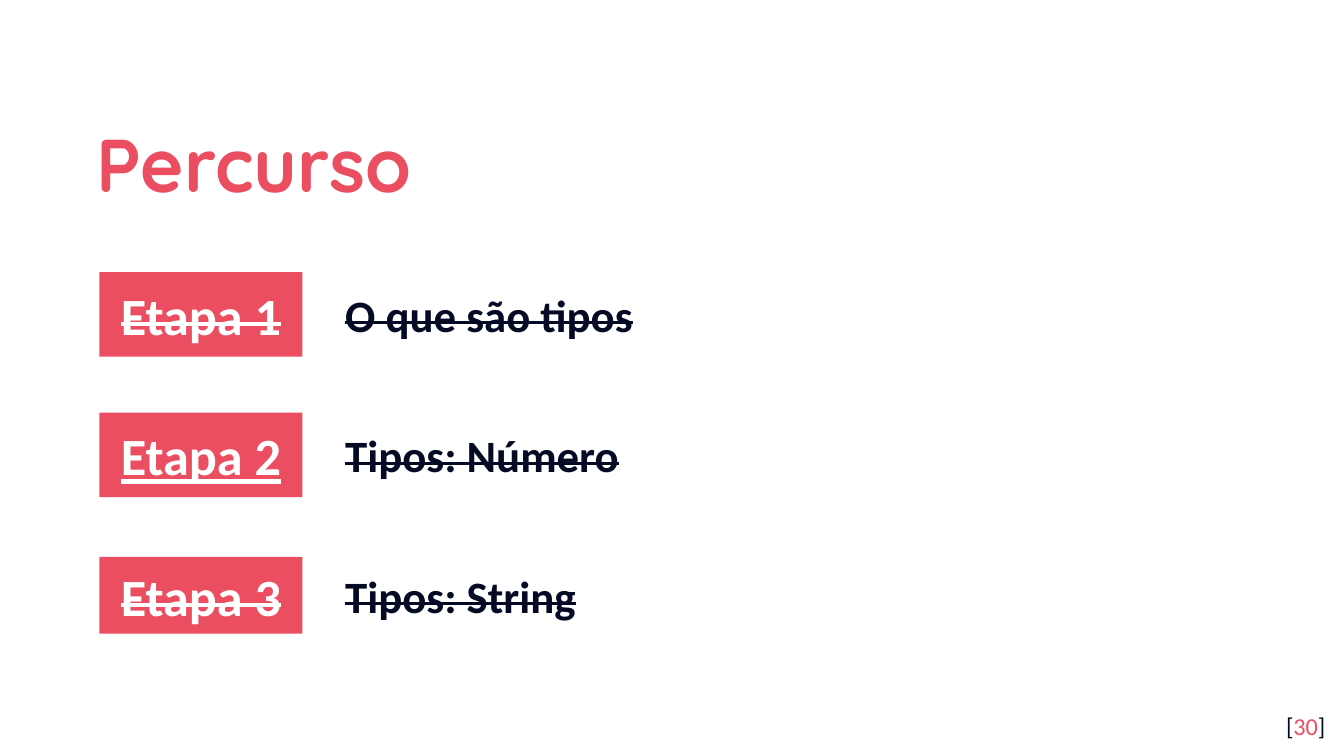
from pptx import Presentation
from pptx.dml.color import RGBColor
from pptx.enum.shapes import MSO_SHAPE
from pptx.enum.text import MSO_ANCHOR, MSO_AUTO_SIZE, PP_ALIGN
from pptx.util import Inches, Pt

CORAL = RGBColor(0xEA, 0x4E, 0x60)
NAVY = RGBColor(0x04, 0x0A, 0x24)
WHITE = RGBColor(0xFF, 0xFF, 0xFF)

TITLE = "Percurso"
# label, label style, label height, topic
STEPS = [
    ("Etapa 1", "strike", 0.63, "O que são tipos"),
    ("Etapa 2", "underline", 0.63, "Tipos: Número"),
    ("Etapa 3", "strike", 0.57, "Tipos: String"),
]
PAGE_NUMBER = [("[", NAVY), ("30", CORAL), ("]", NAVY)]

SLIDE_W = 10
SLIDE_H = SLIDE_W * 9 / 16
LABEL_LEFT, LABEL_W = 0.74, 1.51
TOPIC_LEFT, TOPIC_W, TOPIC_H = 2.47, 6.75, 0.5
FIRST_CENTER, LAST_CENTER = 2.34, 4.43
ROW_PITCH = (LAST_CENTER - FIRST_CENTER) / (len(STEPS) - 1)
INDENT = Inches(0.5)


def set_frame(sp, anchor, inset):
    """Wrap the text, with 0.1 in side insets and the given vertical inset."""
    tf = sp.text_frame
    tf.word_wrap = True
    tf.auto_size = MSO_AUTO_SIZE.NONE
    tf.vertical_anchor = anchor
    tf.margin_left = tf.margin_right = Inches(0.1)
    tf.margin_top = tf.margin_bottom = Inches(inset)
    return tf.paragraphs[0]


def add_run(p, text, size, color, bold=True, style=None, font="Calibri"):
    r = p.add_run()
    r.text = text
    r.font.name, r.font.size, r.font.bold = font, Pt(size), bold
    r.font.color.rgb = color
    if style == "underline":
        r.font.underline = True
    elif style == "strike":
        r._r.get_or_add_rPr().set("strike", "sngStrike")


def box(left, top, width, height):
    return [Inches(v) for v in (left, top, width, height)]


prs = Presentation()
prs.slide_width, prs.slide_height = Inches(SLIDE_W), Inches(SLIDE_H)
slide = prs.slides.add_slide(prs.slide_layouts[5])
shapes = slide.shapes

title = shapes.title
title.left, title.top, title.width, title.height = box(0.62, 0.7, 8.1, 0.92)
p = set_frame(title, MSO_ANCHOR.MIDDLE, 0.1)
p.alignment, p.line_spacing = PP_ALIGN.LEFT, 1.15
add_run(p, TITLE, 40, CORAL, font="Quicksand")

for row, (label, style, height, topic) in enumerate(STEPS):
    center = FIRST_CENTER + row * ROW_PITCH

    sp = shapes.add_shape(
        MSO_SHAPE.RECTANGLE,
        *box(LABEL_LEFT, center - height / 2, LABEL_W, height))
    sp.shadow.inherit = False
    sp.fill.solid()
    sp.fill.fore_color.rgb = CORAL
    sp.line.fill.background()
    p = set_frame(sp, MSO_ANCHOR.MIDDLE, 0.1)
    p.alignment = PP_ALIGN.CENTER
    add_run(p, label, 28, WHITE, style=style)

    sp = shapes.add_textbox(
        *box(TOPIC_LEFT, center - TOPIC_H / 2, TOPIC_W, TOPIC_H))
    p = set_frame(sp, MSO_ANCHOR.TOP, 0.05)
    pPr = p._p.get_or_add_pPr()
    pPr.set("marL", str(INDENT))
    pPr.set("indent", str(-INDENT))
    add_run(p, topic, 24, NAVY, style="strike")

sp = shapes.add_textbox(*box(9.36, 5.19, 0.6, 0.43))
p = set_frame(sp, MSO_ANCHOR.TOP, 0.1)
p.alignment = PP_ALIGN.RIGHT
for text, color in PAGE_NUMBER:
    add_run(p, text, 13, color, bold=False)

prs.save("out.pptx")
